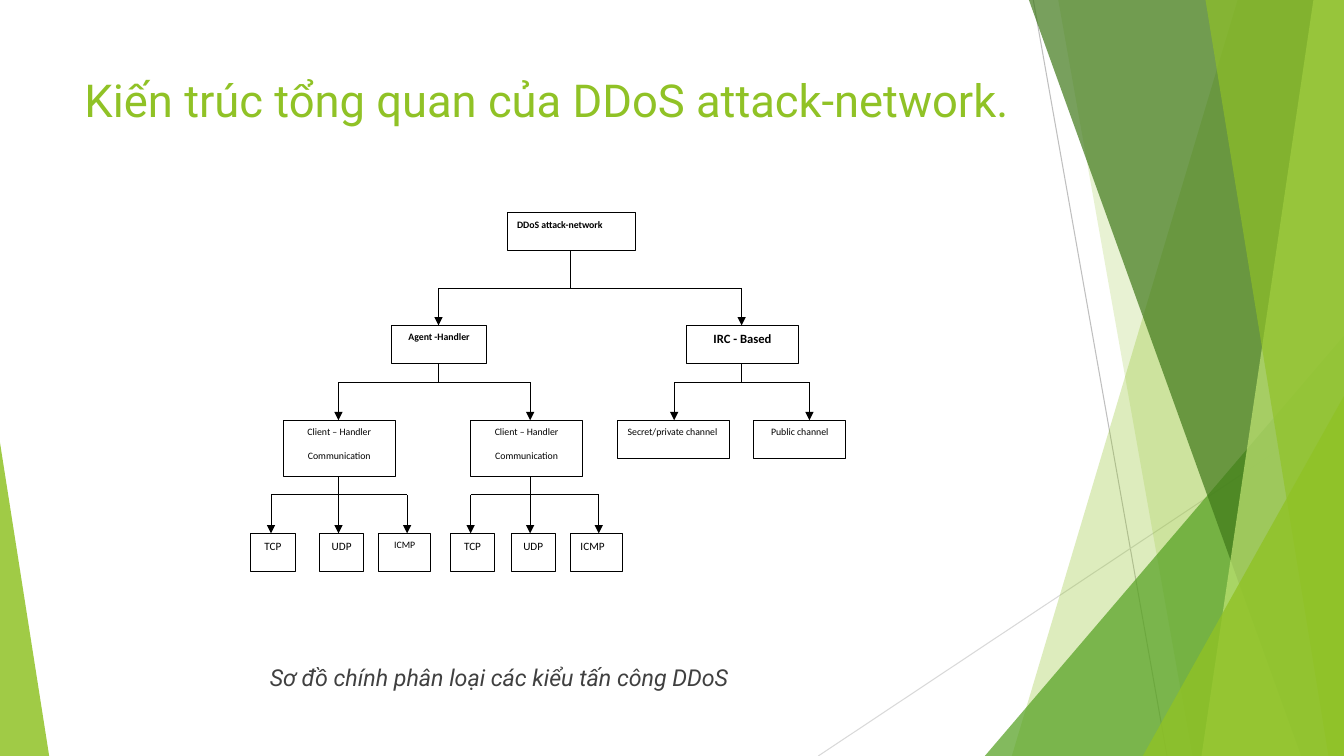
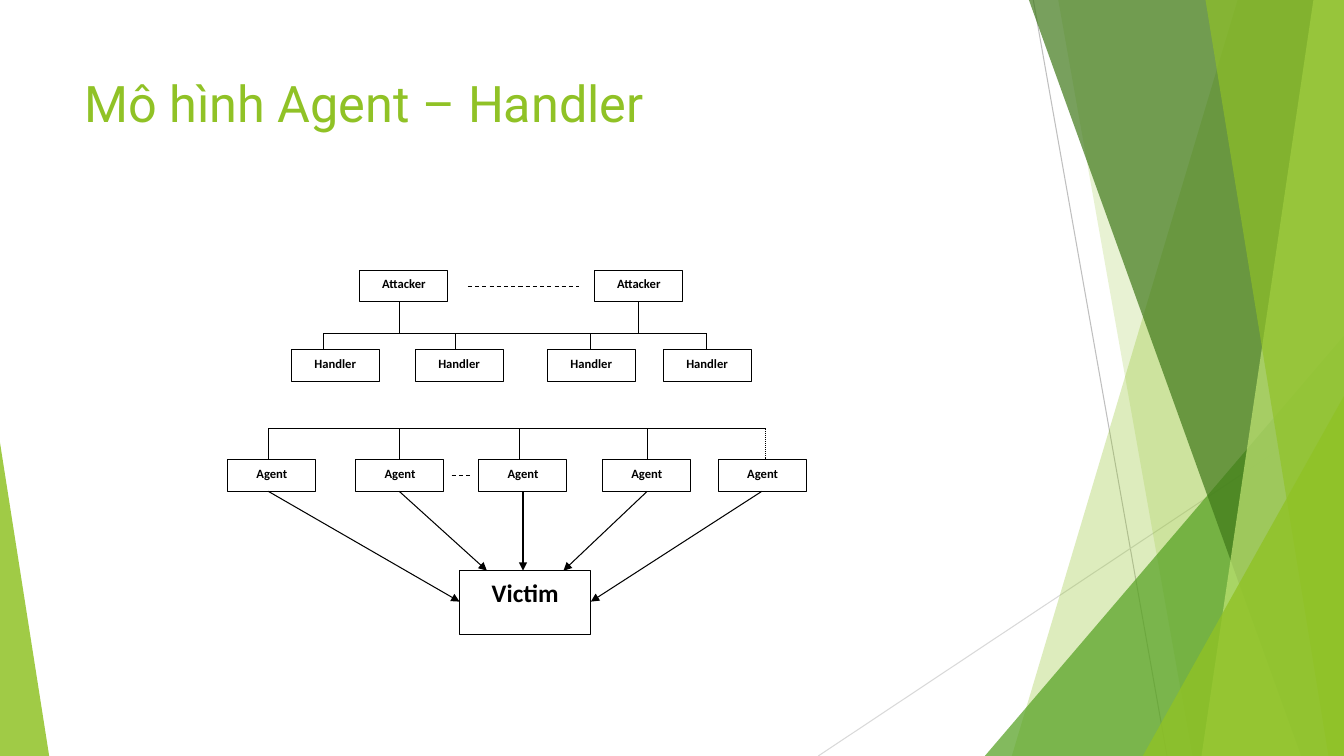
"""Build two slides on the structure of DDoS attack networks."""
import lxml.etree
import pptx
import pptx.dml.color
import pptx.enum.dml
import pptx.enum.shapes
import pptx.enum.text
import pptx.oxml.ns
import pptx.util

Cm = pptx.util.Cm
Pt = pptx.util.Pt
ALIGN = pptx.enum.text.PP_ALIGN
DASH = pptx.enum.dml.MSO_LINE.DASH
DOT = pptx.enum.dml.MSO_LINE.ROUND_DOT
SHAPE = pptx.enum.shapes.MSO_SHAPE

WIDTH, HEIGHT = 33.87, 19.05
GREEN, MID_GREEN, DARK_GREEN, PALE_GREEN = "90C226", "54A021", "3F7819", "C0E474"
BLACK, WHITE, GREY = "000000", "FFFFFF", "404040"
NODE_PARAGRAPH = {"line_spacing": 1.07, "space_after": Pt(8)}
SMALL_WIDTH, SMALL_HEIGHT = 2.22, 0.8


def color(value):
    """Turn a hex string into a colour."""
    return pptx.dml.color.RGBColor.from_string(value)


def apply(target, values):
    """Set each attribute named in values on target."""
    for name, value in values.items():
        setattr(target, name, value)


def add_child(parent, tag, **attributes):
    """Append a drawing element to an XML parent."""
    lxml.etree.SubElement(parent, pptx.oxml.ns.qn(tag), attributes)


def fill(shape, value, opacity=100):
    """Give a shape a flat fill without a shadow."""
    shape.shadow.inherit = False
    shape.fill.solid()
    shape.fill.fore_color.rgb = color(value)
    if opacity < 100:
        solid = shape._element.spPr.find(pptx.oxml.ns.qn("a:solidFill"))
        add_child(solid[0], "a:alpha", val=str(opacity * 1000))


def write(shape, text, paragraph_format, font_format, ink):
    """Write one paragraph per line of text, from the top of the shape."""
    frame = shape.text_frame
    apply(frame, {"word_wrap": True, "vertical_anchor": pptx.enum.text.MSO_ANCHOR.TOP})
    frame.text = text
    for paragraph in frame.paragraphs:
        apply(paragraph, paragraph_format)
        for run in paragraph.runs:
            apply(run.font, font_format)
            run.font.color.rgb = color(ink)


def add_text(slide, box, text, ink, **font_format):
    """Add a Roboto text box."""
    shape = slide.shapes.add_textbox(*map(Cm, box))
    write(shape, text, {}, {"name": "Roboto", **font_format}, ink)


def add_line(slide, start, end, ink=BLACK, arrow=False, dash=None):
    """Add a straight line, with an arrowhead or dashes if asked."""
    connector = slide.shapes.add_connector(
        pptx.enum.shapes.MSO_CONNECTOR.STRAIGHT, *map(Cm, (*start, *end)))
    connector.line.color.rgb = color(ink)
    apply(connector.line, {"width": Pt(0.75), "dash_style": dash})
    if arrow:
        add_child(connector.line._ln, "a:tailEnd", type="triangle")
    add_child(connector._element.spPr, "a:effectLst")


def add_band(slide, top_x, bottom_x, value, opacity):
    """Add a full-height band that reaches the right edge."""
    builder = slide.shapes.build_freeform(Cm(top_x), 0, scale=1.0)
    corners = [(WIDTH, 0), (WIDTH, HEIGHT), (bottom_x, HEIGHT)]
    builder.add_line_segments([(Cm(x), Cm(y)) for x, y in corners])
    shape = builder.convert_to_shape()
    fill(shape, value, opacity)
    shape.line.fill.background()


def add_triangle(slide, left, top, width, apex, value, opacity):
    """Add a triangle that stands on the bottom edge."""
    shape = slide.shapes.add_shape(
        SHAPE.ISOSCELES_TRIANGLE, *map(Cm, (left, top, width, HEIGHT - top)))
    shape.adjustments[0] = apex
    fill(shape, value, opacity)
    shape.line.fill.background()


def add_node(slide, box, text, size, bold=False, align=ALIGN.CENTER):
    """Add an outlined box of the diagram."""
    shape = slide.shapes.add_shape(SHAPE.RECTANGLE, *map(Cm, box))
    fill(shape, WHITE)
    shape.line.color.rgb = color(BLACK)
    shape.line.width = Pt(0.75)
    write(shape, text, {"alignment": align, **NODE_PARAGRAPH},
          {"name": "Calibri", "size": Pt(size), "bold": bold}, BLACK)


def add_fork(slide, stems, branches, top, bus, bottom, arrow=True):
    """Join stems to branches through a horizontal bus."""
    for x in stems:
        add_line(slide, (x, top), (x, bus))
    add_line(slide, (min(branches), bus), (max(branches), bus))
    for x in branches:
        add_line(slide, (x, bus), (x, bottom), arrow=arrow)


def add_themed_slide(presentation, title, size):
    """Add a blank slide with the green background and a title."""
    slide = presentation.slides.add_slide(presentation.slide_layouts[6])
    add_line(slide, (26.04, 0), (29.41, HEIGHT), "BFBFBF")
    add_line(slide, (WIDTH, 10.24), (20.62, HEIGHT), "D9D9D9")
    add_band(slide, 31.19, 25.5, GREEN, 30)
    add_band(slide, 26.67, 30.05, GREEN, 20)
    add_triangle(slide, 24.82, 8.46, 9.05, 1, MID_GREEN, 72)
    add_band(slide, 25.93, 32.79, DARK_GREEN, 70)
    add_band(slide, 33.1, 30.28, PALE_GREEN, 70)
    add_band(slide, 30.38, 33.48, GREEN, 65)
    add_triangle(slide, 28.8, 9.98, 5.07, 1, GREEN, 80)
    add_triangle(slide, 0, 11.15, 1.24, 0, GREEN, 85)
    add_text(slide, (1.88, 1.7, 23.88, 3.66), title, GREEN, size=Pt(size))
    return slide


def build_overview(presentation):
    """Build the tree of attack network types."""
    slide = add_themed_slide(
        presentation, "Kiến trúc tổng quan của DDoS attack-network.", 32.4)
    height = 0.96
    add_node(slide, (12.78, 5.36, 3.23, height), "DDoS attack-network", 7, True, ALIGN.LEFT)
    add_node(slide, (9.86, 8.2, 2.41, height), "Agent -Handler", 7, True)
    add_node(slide, (17.3, 8.2, 2.82, height), "IRC - Based", 9, True)
    for left in (7.14, 11.86):
        add_node(slide, (left, 10.59, 2.82, 1.42), "Client – Handler\nCommunication", 7)
    add_node(slide, (15.57, 10.59, 2.82, height), "Secret/private channel", 7, align=ALIGN.LEFT)
    add_node(slide, (19, 10.59, 2.31, height), "Public channel", 7)
    protocols = [
        (6.32, 1.12, "TCP", 8, ALIGN.CENTER), (8.05, 1.12, "UDP", 8, ALIGN.CENTER),
        (9.55, 1.3, "ICMP", 7, ALIGN.CENTER), (11.35, 1.12, "TCP", 8, ALIGN.CENTER),
        (12.88, 1.12, "UDP", 8, ALIGN.CENTER), (14.38, 1.3, "ICMP", 8, ALIGN.LEFT),
    ]
    for left, width, text, size, align in protocols:
        add_node(slide, (left, 13.44, width, height), text, size, align=align)
    add_fork(slide, [14.38], [11.05, 18.69], 6.32, 7.26, 8.2)
    add_fork(slide, [11.05], [8.53, 13.36], 9.16, 9.63, 10.59)
    add_fork(slide, [18.69], [16.99, 20.4], 9.16, 9.63, 10.59)
    add_fork(slide, [8.53], [6.83, 8.53, 10.26], 12.01, 12.47, 13.44)
    add_fork(slide, [13.36], [11.86, 13.36, 15.09], 12.01, 12.47, 13.44)
    add_text(slide, (6.55, 16.6, 14, 0.95),
             "Sơ đồ chính phân loại các kiểu tấn công DDoS", GREY, size=Pt(16.6), italic=True)


def build_agent_handler(presentation):
    """Build the attacker, handler, agent and victim diagram."""
    slide = add_themed_slide(presentation, "Mô hình Agent – Handler", 36)
    add_fork(slide, [10.06, 16.1], [8.15, 11.48, 14.88, 17.81], 7.61, 8.41, 8.81, arrow=False)
    add_fork(slide, [], [6.76, 10.06, 13.08, 16.31], 10.8, 10.8, 11.58, arrow=False)
    add_line(slide, (16.31, 10.8), (19.3, 10.8))
    add_line(slide, (19.3, 10.8), (19.3, 11.58), dash=DOT)
    add_line(slide, (11.79, 7.21), (14.58, 7.21), dash=DASH)
    add_line(slide, (11.38, 11.99), (11.86, 11.99), dash=DASH)
    rows = [
        ("Attacker", 6.81, (9.07, 14.99)),
        ("Handler", 8.81, (7.34, 10.46, 13.79, 16.71)),
        ("Agent", 11.58, (5.74, 8.97, 12.07, 15.19, 18.11)),
    ]
    for text, top, lefts in rows:
        for left in lefts:
            add_node(slide, (left, top, SMALL_WIDTH, SMALL_HEIGHT), text, 9, True)
    add_node(slide, (11.58, 14.38, 3.31, 1.6), "Victim", 18, True)
    attacks = [(6.76, 11.58, 15.16), (10.06, 12.27, 14.38), (13.18, 13.18, 14.38),
               (16.31, 14.2, 14.38), (19.2, 14.89, 15.16)]
    for start_x, end_x, end_y in attacks:
        add_line(slide, (start_x, 12.38), (end_x, end_y), arrow=True)


def main():
    """Build and save the presentation."""
    presentation = pptx.Presentation()
    apply(presentation, {"slide_width": Cm(WIDTH), "slide_height": Cm(HEIGHT)})
    build_overview(presentation)
    build_agent_handler(presentation)
    presentation.save("out.pptx")


if __name__ == "__main__":
    main()
